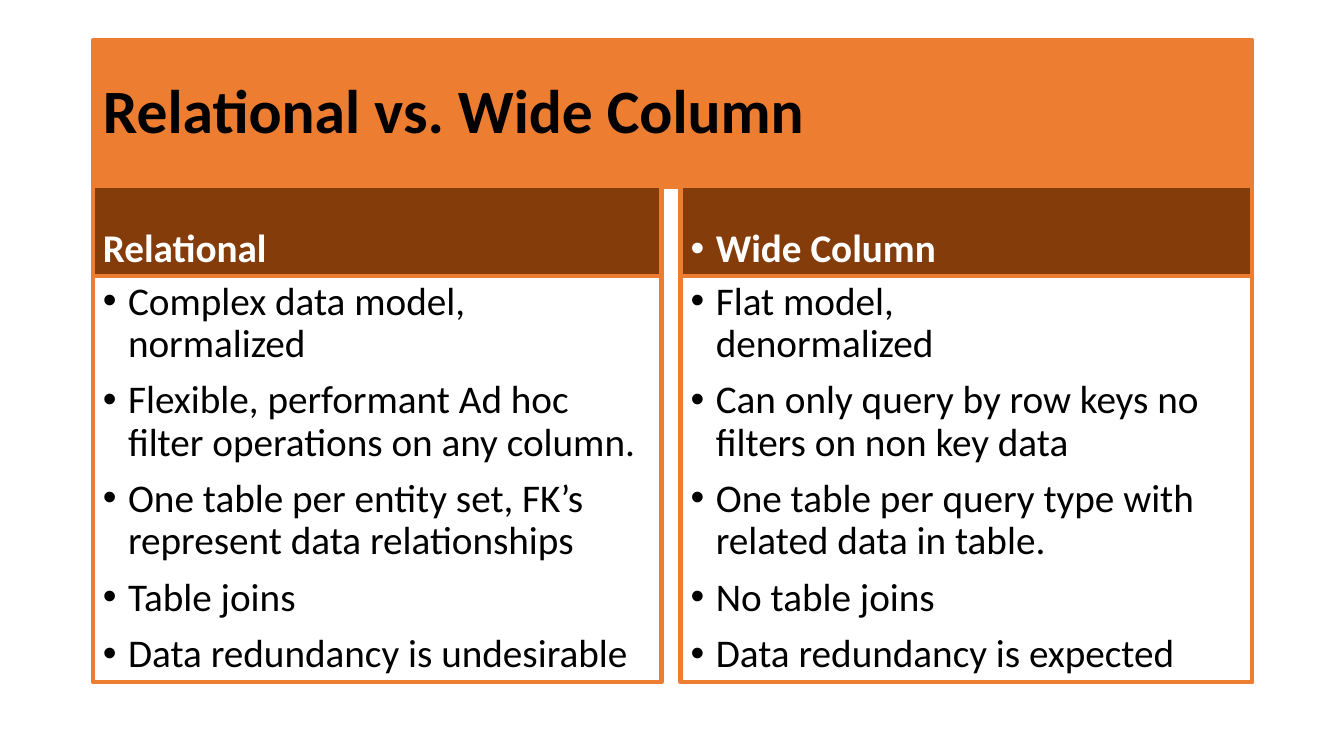
"""Build a slide comparing relational and wide column databases."""
import lxml.etree
import pptx
import pptx.dml.color
import pptx.enum.text
import pptx.oxml.ns
import pptx.util

COLORS = {"orange": "ED7D31", "brown": "843C0B", "black": "000000", "white": "FFFFFF"}
INDENT = pptx.util.Inches(0.25)
TOP, HEADING_TOP, LIST_TOP, BOTTOM = 0.4, 1.84, 2.74, 6.77
LEFT, RIGHT = 0.92, 12.42
COLUMNS = [
    (LEFT, 5.64, False, "Relational", [
        "Complex data model, normalized",
        "Flexible, performant Ad hoc filter operations on any column.",
        "One table per entity set, FK’s represent data relationships",
        "Table joins",
        "Data redundancy is undesirable",
    ]),
    (6.75, 5.67, True, "Wide Column", [
        "Flat model, \vdenormalized",
        "Can only query by row keys no filters on non key data",
        "One table per query type with related data in table.",
        "No table joins",
        "Data redundancy is expected",
    ]),
]
ANCHOR = pptx.enum.text.MSO_ANCHOR


def color(name):
    return pptx.dml.color.RGBColor.from_string(COLORS[name])


def fill_panel(shape, box, lines, fill, text_color, size, bold, anchor, bulleted, space):
    """Place a placeholder, give it a border and fill, and write its paragraphs."""
    shape.left, shape.top, shape.width, shape.height = map(pptx.util.Inches, box)
    shape.line.color.rgb = color("orange")
    shape.line.width = pptx.util.Pt(3)
    if fill:
        shape.fill.solid()
        shape.fill.fore_color.rgb = color(fill)
    frame = shape.text_frame
    frame.text = "\n".join(lines)
    frame.word_wrap = True
    frame.auto_size = pptx.enum.text.MSO_AUTO_SIZE.NONE
    frame.vertical_anchor = anchor
    for paragraph in frame.paragraphs:
        paragraph.alignment = pptx.enum.text.PP_ALIGN.LEFT
        paragraph.line_spacing = 0.9
        paragraph.space_before = pptx.util.Pt(space)
        properties = paragraph._p.get_or_add_pPr()
        properties.set("marL", str(INDENT if bulleted else 0))
        properties.set("indent", str(-INDENT if bulleted else 0))
        if bulleted:
            font_tag = pptx.oxml.ns.qn("a:buFont")
            lxml.etree.SubElement(properties, font_tag, typeface="Arial")
            lxml.etree.SubElement(properties, pptx.oxml.ns.qn("a:buChar"), char="•")
        else:
            lxml.etree.SubElement(properties, pptx.oxml.ns.qn("a:buNone"))
        paragraph.font.name = "Calibri"
        paragraph.font.size = pptx.util.Pt(size)
        paragraph.font.bold = bold
        paragraph.font.color.rgb = color(text_color)


presentation = pptx.Presentation()
presentation.slide_width = pptx.util.Inches(13.33)
presentation.slide_height = pptx.util.Inches(7.5)
comparison_layout = presentation.slide_layouts.get_by_name("Comparison")
slide = presentation.slides.add_slide(comparison_layout)

title_box = (LEFT, TOP, RIGHT - LEFT, 1.45)
fill_panel(slide.shapes.title, title_box, ["Relational vs. Wide Column"],
           "orange", "black", 44, True, ANCHOR.MIDDLE, False, 0)

for column, (left, width, bulleted, heading, points) in enumerate(COLUMNS):
    heading_shape = slide.placeholders[1 + 2 * column]
    list_shape = slide.placeholders[2 + 2 * column]
    heading_box = (left, HEADING_TOP, width, LIST_TOP - HEADING_TOP)
    list_box = (left, LIST_TOP, width, BOTTOM - LIST_TOP)
    fill_panel(heading_shape, heading_box, [heading],
               "brown", "white", 28, True, ANCHOR.BOTTOM, bulleted, 10)
    fill_panel(list_shape, list_box, points,
               None, "black", 28, False, ANCHOR.TOP, True, 10)

presentation.save("out.pptx")
